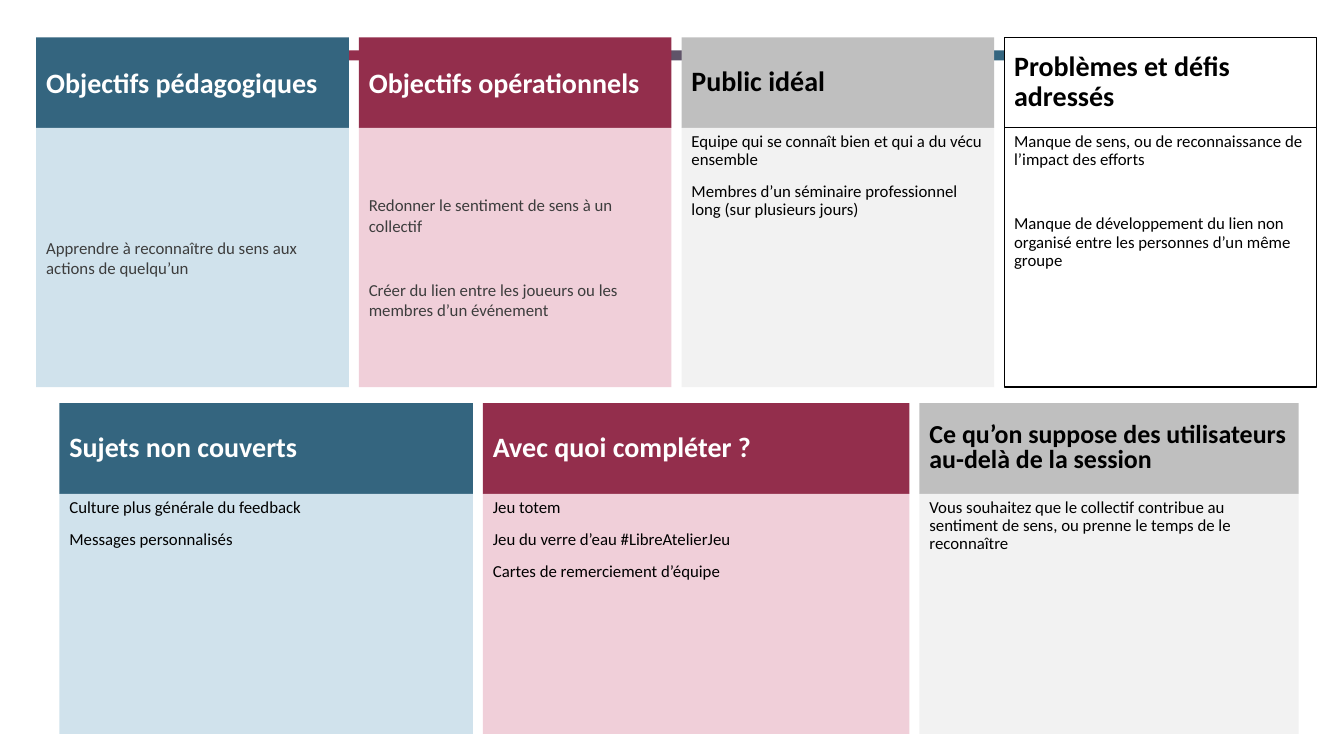
from pptx import Presentation
from pptx.dml.color import RGBColor
from pptx.enum.shapes import MSO_SHAPE
from pptx.enum.text import MSO_ANCHOR, PP_ALIGN
from pptx.util import Inches, Pt

COLORS = {
    "blue": "34657F", "pale_blue": "D0E2EC",
    "wine": "932E4C", "pale_wine": "F0CFD9",
    "plum": "605469", "grey": "BFBFBF", "pale_grey": "F2F2F2",
    "white": "FFFFFF", "black": "000000", "dark": "3D3D3D",
}
GAP = 0.1
HEAD_H = 0.9

# Text formats: "font" and "para" hold attributes to set
HEAD = {"font": {"size": Pt(20), "bold": True}, "para": {"line_spacing": 0.9},
        "anchor": MSO_ANCHOR.MIDDLE}
HEAD_PLAIN = {**HEAD, "para": {"line_spacing": 1.0}}
HEAD_TIGHT = {**HEAD, "font": {"size": Pt(18.5), "bold": True},
              "para": {"line_spacing": 0.8}}
BODY = {"font": {"size": Pt(12)}, "para": {"line_spacing": 0.9},
        "anchor": MSO_ANCHOR.TOP, "color": "black", "gap": Pt(10)}
BODY_WIDE = {**BODY, "gap": Pt(33)}
BODY_MIDDLE = {**BODY, "para": {"line_spacing": 1.0}, "color": "dark",
               "anchor": MSO_ANCHOR.MIDDLE, "gap": Pt(31.5)}

# Header fill, header text, body fill, outline
BLUE = ("blue", "white", "pale_blue", None)
WINE = ("wine", "white", "pale_wine", None)
GREY = ("grey", "black", "pale_grey", None)
WHITE = ("white", "black", "white", "black")

# Width, theme, header format, title, body format, paragraphs
TOP_CARDS = [
    (3.1, BLUE, HEAD_PLAIN, "Objectifs pédagogiques", BODY_MIDDLE,
     ["Apprendre à reconnaître du sens aux actions de quelqu’un"]),
    (3.1, WINE, HEAD_PLAIN, "Objectifs opérationnels", BODY_MIDDLE,
     ["Redonner le sentiment de sens à un collectif",
      "Créer du lien entre les joueurs ou les membres d’un événement"]),
    (3.1, GREY, HEAD, "Public idéal", BODY,
     ["Equipe qui se connaît bien et qui a du vécu ensemble",
      "Membres d’un séminaire professionnel long (sur plusieurs jours)"]),
    (3.1, WHITE, HEAD, "Problèmes et défis adressés", BODY_WIDE,
     ["Manque de sens, ou de reconnaissance de l’impact des efforts",
      "Manque de développement du lien non organisé entre les personnes "
      "d’un même groupe"]),
]
BOTTOM_CARDS = [
    (4.1, BLUE, HEAD, "Sujets non couverts", BODY,
     ["Culture plus générale du feedback", "Messages personnalisés"]),
    (4.23, WINE, HEAD, "Avec quoi compléter ?", BODY,
     ["Jeu totem", "Jeu du verre d’eau #LibreAtelierJeu",
      "Cartes de remerciement d’équipe"]),
    (3.76, GREY, HEAD_TIGHT,
     "Ce qu’on suppose des utilisateurs au-delà de la session", BODY,
     ["Vous souhaitez que le collectif contribue au sentiment de sens, "
      "ou prenne le temps de le reconnaître"]),
]


def rgb(name):
    return RGBColor.from_string(COLORS[name])


def set_attrs(obj, values):
    for name, value in values.items():
        setattr(obj, name, value)


def add_rect(s, x, y, w, h, fill, outline=None):
    sp = s.shapes.add_shape(MSO_SHAPE.RECTANGLE, Inches(x), Inches(y),
                            Inches(w), Inches(h))
    sp.shadow.inherit = False
    sp.fill.solid()
    sp.fill.fore_color.rgb = rgb(fill)
    if outline:
        sp.line.color.rgb = rgb(outline)
        sp.line.width = Pt(0.75)
    else:
        sp.line.fill.background()
    return sp


def add_text(sp, texts, fmt, color):
    tf = sp.text_frame
    set_attrs(tf, {"word_wrap": True, "vertical_anchor": fmt["anchor"]})
    for i, text in enumerate(texts):
        p = tf.add_paragraph() if i else tf.paragraphs[0]
        set_attrs(p, {"alignment": PP_ALIGN.LEFT, **fmt["para"]})
        if i:
            p.space_before = fmt["gap"]
        r = p.add_run()
        r.text = text
        set_attrs(r.font, {"name": "Calibri", **fmt["font"]})
        r.font.color.rgb = rgb(color)


def add_card_row(s, x, y, body_h, cards):
    for w, theme, head_fmt, title, body_fmt, texts in cards:
        head_fill, head_color, body_fill, outline = theme
        head = add_rect(s, x, y, w, HEAD_H, head_fill, outline)
        add_text(head, [title], head_fmt, head_color)
        body = add_rect(s, x, y + HEAD_H, w, body_h, body_fill, outline)
        add_text(body, texts, body_fmt, body_fmt["color"])
        x += w + GAP


def main():
    prs = Presentation()
    set_attrs(prs, {"slide_width": Inches(13.33), "slide_height": Inches(7.5)})
    s = prs.slides.add_slide(prs.slide_layouts[6])

    # Coloured band behind the top row
    for i, color in enumerate(["wine", "plum", "blue"]):
        add_rect(s, 0.49 + i * 4.15, 0.5, 4.05, 0.1, color)

    # Two rows of cards
    add_card_row(s, 0.36, 0.37, 2.57, TOP_CARDS)
    add_card_row(s, 0.59, 4, 2.38, BOTTOM_CARDS)

    prs.save("out.pptx")


if __name__ == "__main__":
    main()
